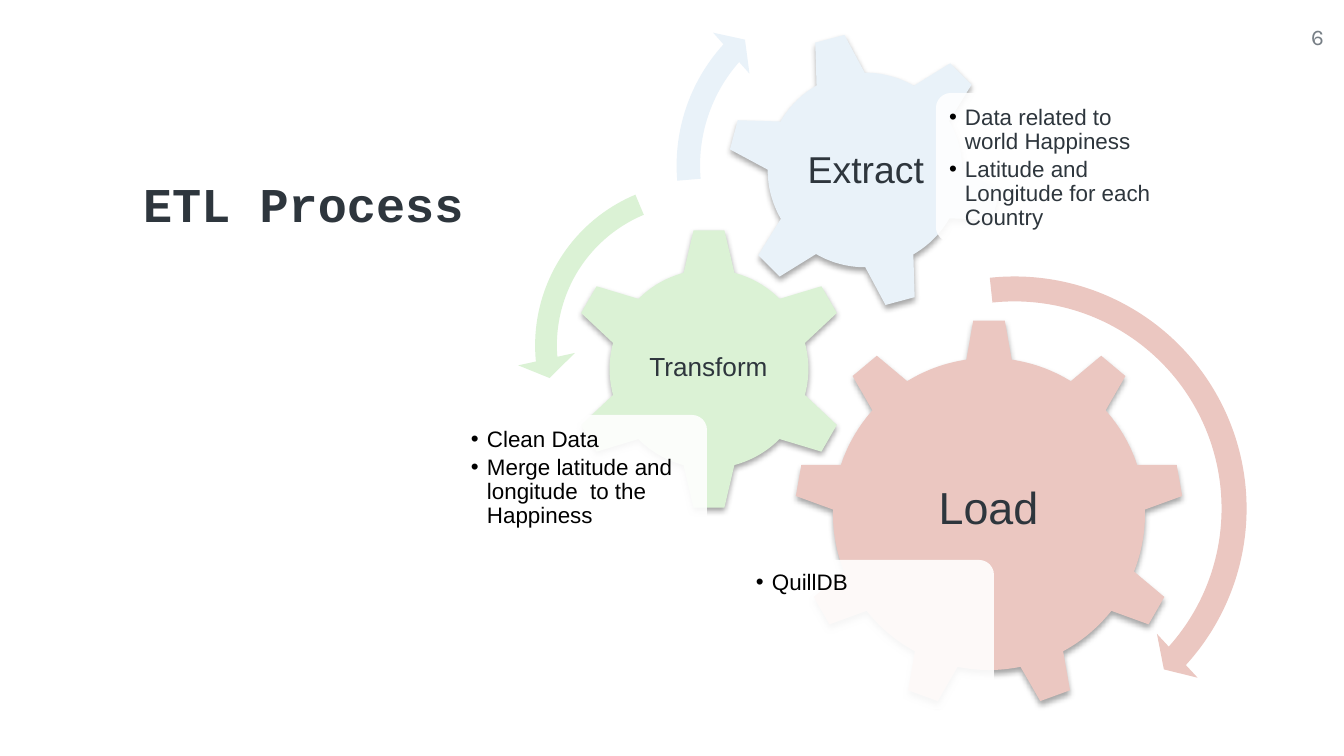
import pptx
import pptx.util
import pptx.dml.color
import pptx.enum.shapes
import pptx.enum.text
import pptx.oxml
import pptx.oxml.ns

SCALE = 914400 / 134.4
RGB = pptx.dml.color.RGBColor.from_string
Pt = pptx.util.Pt
Kind = pptx.enum.shapes.MSO_SHAPE
Align = pptx.enum.text.PP_ALIGN
Anchor = pptx.enum.text.MSO_ANCHOR
NS = pptx.oxml.ns.nsdecls("a")

THEME = {
    "ink": "2E363D", "black": "000000", "muted": "767E85", "panel": "FFFFFF",
    "load": "EBC7C1", "transform": "DBF2D5", "extract": "E9F2F9",
    "title_size": 26, "note_size": 12,
    "load_size": 24, "transform_size": 14, "extract_size": 20,
    "body_font": "Arial", "title_font": "Courier New", "number_font": "Karla",
}


def place_shape(kind, bounds, color, adjustments=(), rotation=0):
    shape = page.shapes.add_shape(kind, *[round(length * SCALE) for length in bounds])
    shape.shadow.inherit = False
    shape.fill.solid()
    shape.fill.fore_color.rgb = RGB(color)
    shape.line.fill.background()
    shape.rotation = rotation
    for index, value in enumerate(adjustments):
        shape.adjustments[index] = value
    return shape


def write_text(box, lines, font, size, color, align, margin=0, bold=False,
               anchor=Anchor.TOP, spacing=0.9, bulleted=False):
    frame = box.text_frame
    inset = round(margin * SCALE)
    frame_format = {
        "word_wrap": True, "auto_size": pptx.enum.text.MSO_AUTO_SIZE.NONE,
        "vertical_anchor": anchor, "margin_left": inset, "margin_top": inset,
        "margin_right": inset, "margin_bottom": inset,
    }
    for name, value in frame_format.items():
        setattr(frame, name, value)
    for index, line in enumerate(lines):
        para = frame.add_paragraph() if index else frame.paragraphs[0]
        para_format = {"alignment": align, "line_spacing": spacing,
                       "space_before": Pt(0), "space_after": Pt(2 if bulleted else 0)}
        for name, value in para_format.items():
            setattr(para, name, value)
        span = para.add_run()
        span.text = line
        span_format = {"name": font, "size": Pt(size), "bold": bold}
        for name, value in span_format.items():
            setattr(span.font, name, value)
        span.font.color.rgb = RGB(color)
        if bulleted:
            properties = para._p.get_or_add_pPr()
            indent = round(16 * SCALE)
            properties.set("marL", str(indent))
            properties.set("indent", str(-indent))
            for xml in (f'<a:buClr {NS}><a:srgbClr val="{THEME["black"]}"/></a:buClr>',
                        f'<a:buFont {NS} typeface="Arial"/>',
                        f'<a:buChar {NS} char="•"/>'):
                properties.append(pptx.oxml.parse_xml(xml))


deck = pptx.Presentation()
deck.slide_width = round(1344 * SCALE)
deck.slide_height = round(756 * SCALE)
page = deck.slides.add_slide(deck.slide_layouts[5])

title = page.shapes.title
for name, length in zip(("left", "top", "width", "height"), (82, 165, 382, 99)):
    setattr(title, name, round(length * SCALE))
write_text(title, ["ETL Process"], THEME["title_font"], THEME["title_size"],
           THEME["ink"], Align.RIGHT, bold=True, spacing=1.15)

number = page.shapes.add_textbox(*[round(length * SCALE) for length in (1243, 19, 81, 58)])
write_text(number, ["6"], THEME["number_font"], THEME["note_size"],
           THEME["muted"], Align.RIGHT, spacing=1.15)

stages = [
    {"name": "Load", "gear": Kind.GEAR_9, "bounds": (794, 319, 390, 390), "rotation": 0,
     "label": (872, 410, 233, 200), "panel": (745, 560), "margin": 7,
     "ink": "black", "notes": ["QuillDB"]},
    {"name": "Transform", "gear": Kind.GEAR_6, "bounds": (567, 227, 284, 284), "rotation": 0,
     "label": (638, 298, 141, 140), "panel": (458, 415), "margin": 9,
     "ink": "black",
     "notes": ["Clean Data", "Merge latitude and longitude  to the Happiness"]},
    {"name": "Extract", "gear": Kind.GEAR_6, "bounds": (726, 31, 278, 278), "rotation": 345,
     "label": (788, 93, 156, 156), "panel": (936, 93), "margin": 9,
     "ink": "ink",
     "notes": ["Data related to world Happiness",
               "Latitude and Longitude for each Country"]},
]

for stage in stages:
    key = stage["name"].lower()
    gear = place_shape(stage["gear"], stage["bounds"], THEME[key], rotation=stage["rotation"])
    effects = gear._element.spPr.find(pptx.oxml.ns.qn("a:effectLst"))
    effects.append(pptx.oxml.parse_xml(
        f'<a:outerShdw {NS} blurRad="{Pt(3.1)}" dist="{Pt(1.8)}" dir="5400000" '
        f'rotWithShape="0"><a:srgbClr val="{THEME["black"]}">'
        '<a:alpha val="35000"/></a:srgbClr></a:outerShdw>'))

    label = page.shapes.add_textbox(*[round(length * SCALE) for length in stage["label"]])
    write_text(label, [stage["name"]], THEME["body_font"], THEME[key + "_size"],
               THEME["ink"], Align.CENTER, margin=3, anchor=Anchor.MIDDLE)

    left, top = stage["panel"]
    panel = place_shape(Kind.ROUNDED_RECTANGLE, (left, top, 249, 149), THEME["panel"], [0.1])
    tint = panel._element.spPr.find(".//" + pptx.oxml.ns.qn("a:srgbClr"))
    tint.append(pptx.oxml.parse_xml(f'<a:alpha {NS} val="90000"/>'))

    notes = page.shapes.add_textbox(
        *[round(length * SCALE) for length in (left + 4, top + 4, 239, 140)])
    write_text(notes, stage["notes"], THEME["body_font"], THEME["note_size"],
               THEME[stage["ink"]], Align.LEFT, margin=stage["margin"], bulleted=True)

arrows = [
    (Kind.CIRCULAR_ARROW, (765, 259, 499, 499), "load", (0.05, 2.99, 25.29, 158.33, 0.06)),
    (Kind.LEFT_CIRCULAR_ARROW, (517, 164, 363, 363), "transform",
     (0.06, 4.3, 104.89, 148.38, 0.08)),
    (Kind.CIRCULAR_ARROW, (661, -30, 391, 391), "extract", (0.06, 3.94, 133.14, 105.08, 0.07)),
]
for kind, bounds, key, adjustments in arrows:
    place_shape(kind, bounds, THEME[key], adjustments)

deck.save("out.pptx")
